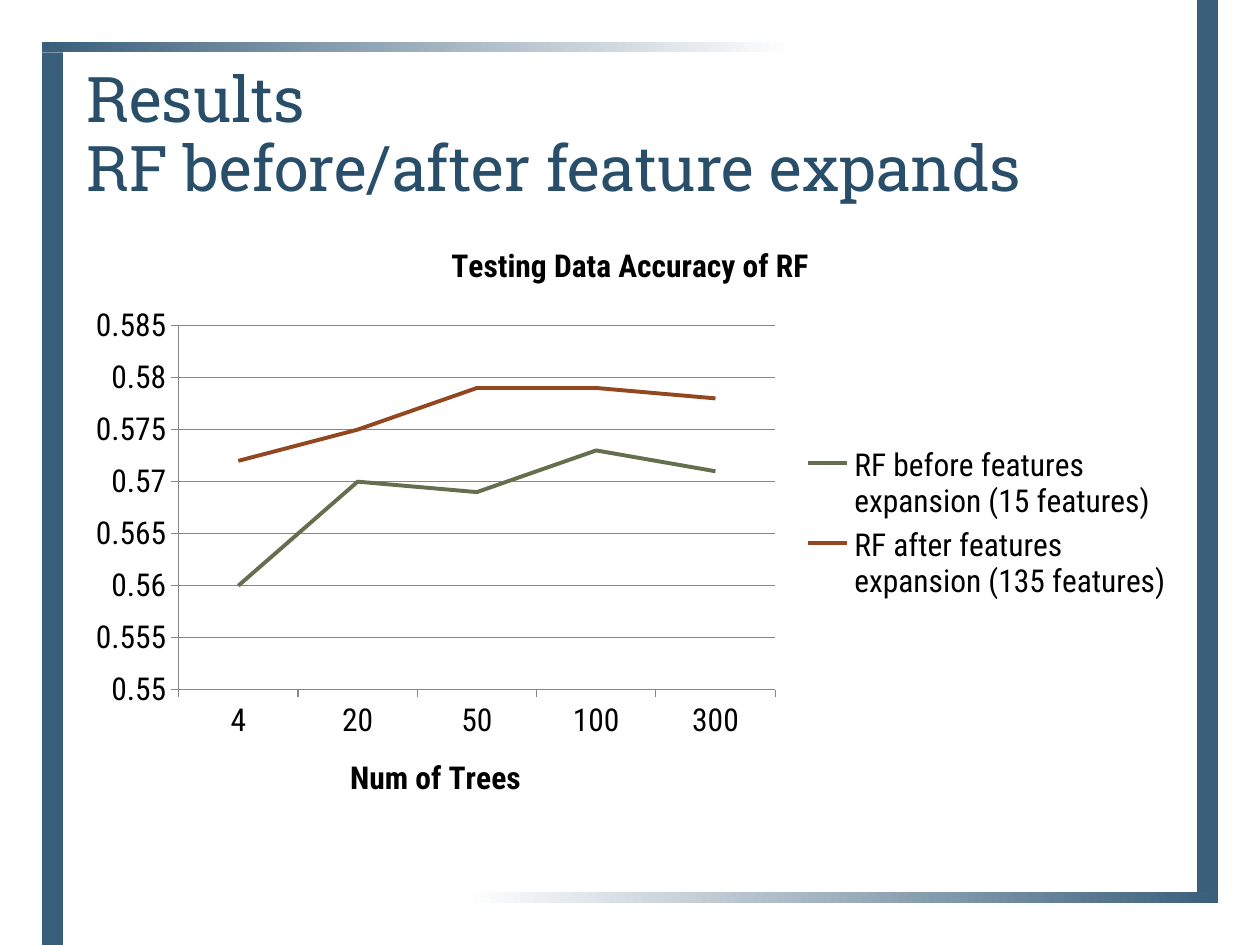
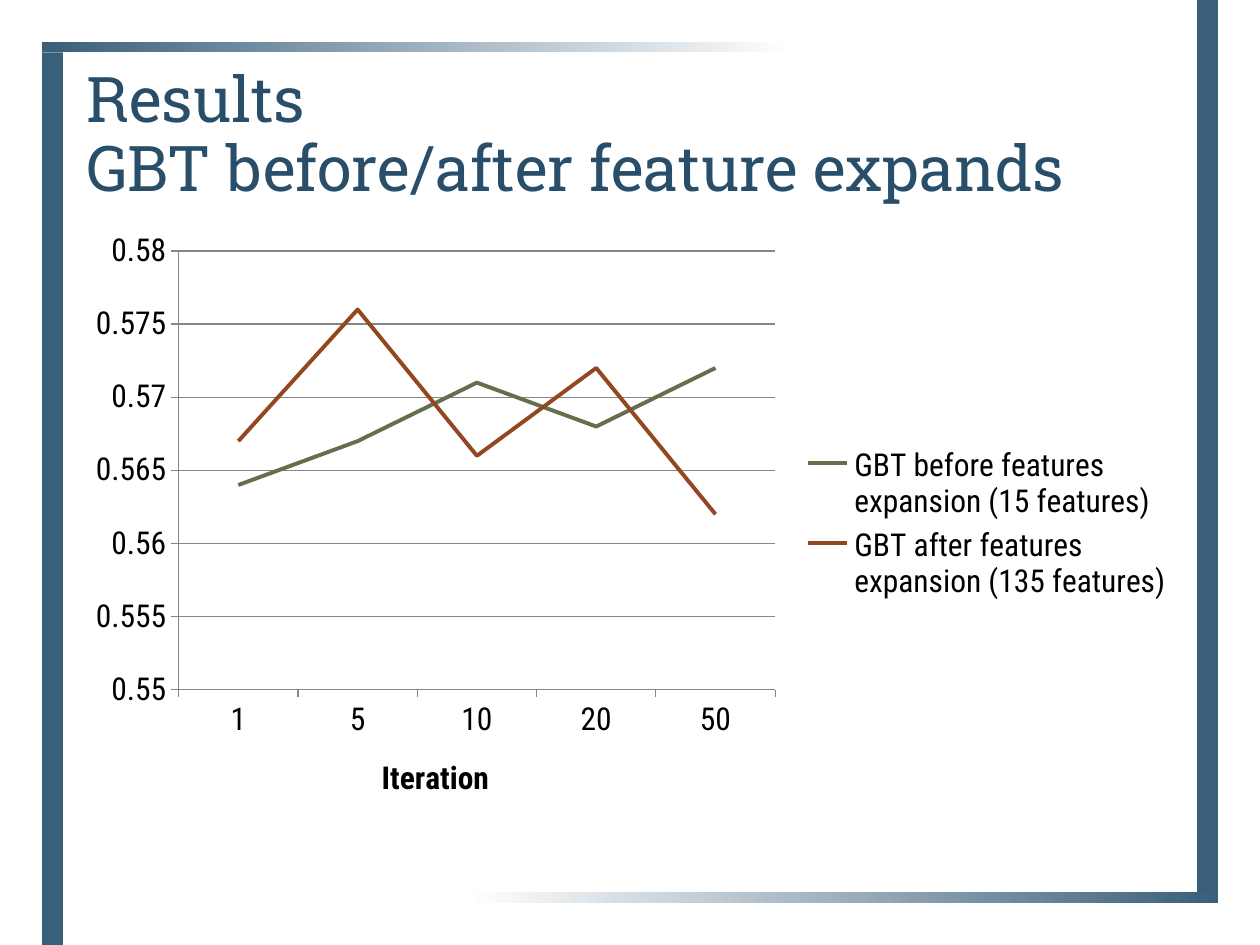
from pptx import Presentation
from pptx.chart.data import CategoryChartData
from pptx.dml.color import RGBColor
from pptx.enum.chart import XL_CHART_TYPE, XL_LEGEND_POSITION, XL_MARKER_STYLE, XL_TICK_MARK
from pptx.enum.shapes import MSO_SHAPE
from pptx.enum.text import MSO_ANCHOR, MSO_AUTO_SIZE, PP_ALIGN
from pptx.util import Pt

LINE = XL_CHART_TYPE.LINE
LEGEND_RIGHT = XL_LEGEND_POSITION.RIGHT
NO_MARKER = XL_MARKER_STYLE.NONE
TICK_OUT, TICK_NONE = XL_TICK_MARK.OUTSIDE, XL_TICK_MARK.NONE
RECTANGLE = MSO_SHAPE.RECTANGLE
BOTTOM, NO_AUTOFIT, LEFT = MSO_ANCHOR.BOTTOM, MSO_AUTO_SIZE.NONE, PP_ALIGN.LEFT

BAND_BLUE = RGBColor(0x3A, 0x5F, 0x7B)
TITLE_BLUE = RGBColor(0x28, 0x4E, 0x6A)
WHITE = RGBColor(0xFF, 0xFF, 0xFF)
BLACK = RGBColor(0, 0, 0)
GRID_GREY = RGBColor(0x86, 0x86, 0x86)
SERIES_COLORS = (RGBColor(0x64, 0x6F, 0x4D), RGBColor(0x93, 0x47, 0x21))
TITLE_FONT, CHART_FONT = "Roboto Slab", "Roboto Condensed"

# left, top, width, height, gradient angle (None for a plain fill)
BANDS = [
    (684, 0, 12, 510, None),
    (24, 30, 12, 510, None),
    (36, 510, 660, 6, 180),
    (24, 24, 660, 6, 0),
]

RESULTS = [
    {
        "model": "RF", "chart_title": "Testing Data Accuracy of RF",
        "axis_title": "Num of Trees", "top_value": 0.585,
        "steps": ["4", "20", "50", "100", "300"],
        "before": [0.560, 0.570, 0.569, 0.573, 0.571],
        "after": [0.572, 0.575, 0.579, 0.579, 0.578],
    },
    {
        "model": "GBT", "chart_title": None,
        "axis_title": "Iteration", "top_value": 0.58,
        "steps": ["1", "5", "10", "20", "50"],
        "before": [0.564, 0.567, 0.571, 0.568, 0.572],
        "after": [0.567, 0.576, 0.566, 0.572, 0.562],
    },
]


def set_bold_title(titled, text):
    """Give a chart or an axis a bold black title."""
    titled.has_title = True
    frame = (titled.chart_title if hasattr(titled, "chart_title") else titled.axis_title).text_frame
    frame.text = text
    font = frame.paragraphs[0].runs[0].font
    for attribute, value in {"name": CHART_FONT, "size": Pt(18), "bold": True}.items():
        setattr(font, attribute, value)
    font.color.rgb = BLACK


prs = Presentation()
prs.slide_width, prs.slide_height = Pt(720), Pt(540)
title_only = prs.slide_layouts[5]
slides = [prs.slides.add_slide(title_only) for _ in RESULTS]

# The bands are drawn on a slide, then moved to the master, behind everything
master_tree = prs.slide_master.element.cSld.spTree
for number, (left, top, width, height, angle) in enumerate(BANDS):
    band = slides[0].shapes.add_shape(RECTANGLE, Pt(left), Pt(top), Pt(width), Pt(height))
    band.shadow.inherit = False
    band.line.fill.background()
    if angle is None:
        band.fill.solid()
        band.fill.fore_color.rgb = BAND_BLUE
    else:
        band.fill.gradient()
        band.fill.gradient_angle = angle
        for stop, color, position in zip(band.fill.gradient_stops, (BAND_BLUE, WHITE), (0, 0.65)):
            stop.color.rgb = color
            stop.position = position
    band.element.xpath(".//p:cNvPr")[0].set("id", str(100 + number))
    master_tree.insert(2 + number, band.element)

heading_place = title_only.placeholders[0]
for side, length in {"left": 42, "top": 36, "width": 636, "height": 85}.items():
    setattr(heading_place, side, Pt(length))

for slide, result in zip(slides, RESULTS):
    model = result["model"]

    heading = slide.shapes.title.text_frame
    heading.vertical_anchor = BOTTOM
    heading.auto_size = NO_AUTOFIT
    line = heading.paragraphs[0]
    line.alignment = LEFT
    line.line_spacing = 0.91
    line.add_run().text = "Results"
    line.add_line_break()
    line.add_run().text = f"{model} before/after feature expands"
    for run in line.runs:
        run.font.name = TITLE_FONT
        run.font.size = Pt(36)
        run.font.color.rgb = TITLE_BLUE

    accuracy = CategoryChartData()
    accuracy.categories = result["steps"]
    for stage, features in (("before", 15), ("after", 135)):
        accuracy.add_series(f"{model} {stage} features expansion ({features} features)", result[stage])
    chart = slide.shapes.add_chart(LINE, Pt(42), Pt(126), Pt(636), Pt(347), accuracy).chart
    chart.font.name = CHART_FONT
    chart.font.size = Pt(18)
    chart.font.color.rgb = BLACK
    if result["chart_title"]:
        set_bold_title(chart, result["chart_title"])
    else:
        chart.has_title = False
    chart.has_legend = True
    chart.legend.position = LEGEND_RIGHT
    chart.legend.include_in_layout = False

    chart.plots[0].vary_by_categories = False
    for series, color in zip(chart.plots[0].series, SERIES_COLORS):
        series.smooth = False
        series.marker.style = NO_MARKER
        series.format.line.width = Pt(2.25)
        series.format.line.color.rgb = color

    steps_axis, values_axis = chart.category_axis, chart.value_axis
    set_bold_title(steps_axis, result["axis_title"])
    scale = {"minimum_scale": 0.55, "maximum_scale": result["top_value"], "major_unit": 0.005}
    for attribute, value in scale.items():
        setattr(values_axis, attribute, value)
    values_axis.has_major_gridlines = True
    values_axis.tick_labels.number_format = "General"
    values_axis.tick_labels.number_format_is_linked = False
    for axis in (steps_axis, values_axis):
        axis.major_tick_mark = TICK_OUT
        axis.minor_tick_mark = TICK_NONE
    for rule in (steps_axis, values_axis, values_axis.major_gridlines):
        rule.format.line.width = Pt(0.75)
        rule.format.line.color.rgb = GRID_GREY

prs.save("out.pptx")
